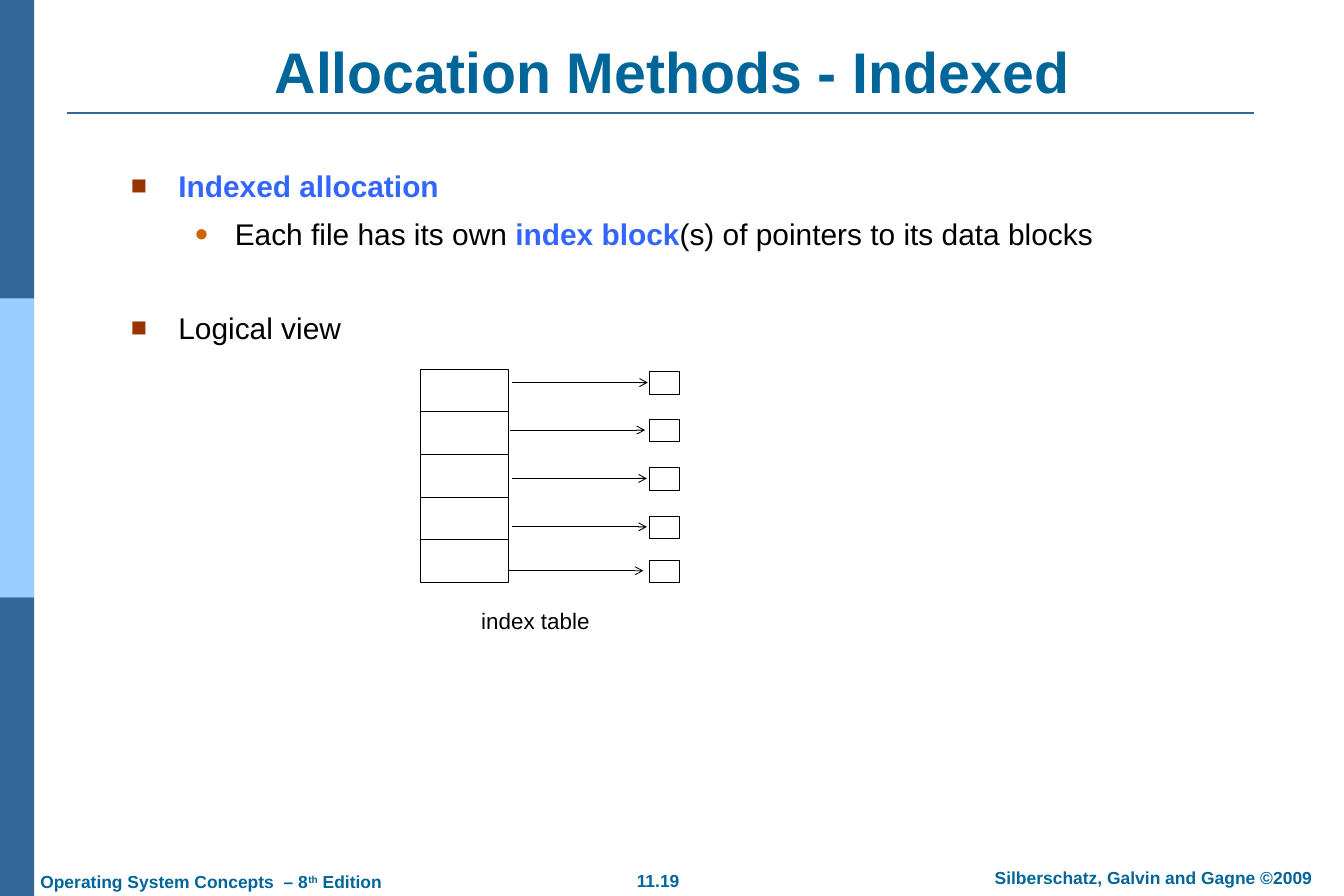
from lxml import etree
from pptx import Presentation
from pptx.dml.color import RGBColor
from pptx.enum.shapes import MSO_CONNECTOR, MSO_SHAPE
from pptx.enum.text import MSO_ANCHOR, MSO_AUTO_SIZE, PP_ALIGN
from pptx.oxml.ns import qn
from pptx.util import Inches, Pt

RECT, STRAIGHT = MSO_SHAPE.RECTANGLE, MSO_CONNECTOR.STRAIGHT
LEFT, CENTER = PP_ALIGN.LEFT, PP_ALIGN.CENTER
TOP, MIDDLE, BOTTOM = MSO_ANCHOR.TOP, MSO_ANCHOR.MIDDLE, MSO_ANCHOR.BOTTOM
FIXED = MSO_AUTO_SIZE.NONE

COLORS = {
    "bar": "336699", "bar_light": "99CCFF", "heading": "006699",
    "term": "3366FF", "text": "000000", "paper": "FFFFFF",
    "square": "993300", "dot": "CC6600",
}
HEADING = {"size": Pt(46), "bold": True}
FOOTER = {"size": Pt(14), "bold": True}
BODY = {"size": Pt(24), "bold": False}
TERM = {"size": Pt(24), "bold": True}
CAPTION = {"size": Pt(18), "bold": False}

# Bullet and indent of each list level
LEVELS = [
    {"char": "■", "color": "square", "size": 90, "margin": 0.53, "hang": 0.53},
    {"char": "●", "color": "dot", "size": 80, "margin": 1.16, "hang": 0.45},
]
# Level, space before in points, runs of text, format and colour
OUTLINE = [
    (0, 0, [("Indexed allocation", TERM, "term")]),
    (1, 9.6, [("Each file has its own ", BODY, "text"),
              ("index block", TERM, "term"),
              ("(s) of pointers to its data blocks", BODY, "text")]),
    (0, 47, [("Logical view", BODY, "text")]),
]


def rgb(name):
    return RGBColor.from_string(COLORS[name])


def add_rect(slide, box, fill, outline=None):
    rect = slide.shapes.add_shape(RECT, *map(Inches, box))
    rect.shadow.inherit = False
    rect.fill.solid()
    rect.fill.fore_color.rgb = rgb(fill)
    if outline:
        rect.line.color.rgb = rgb(outline)
        rect.line.width = Pt(0.75)
    else:
        rect.line.fill.background()


def add_line(slide, start, end, color, width, arrow=False):
    line = slide.shapes.add_connector(STRAIGHT, *map(Inches, start + end))
    line.line.color.rgb = rgb(color)
    line.line.width = Pt(width)
    if arrow:
        etree.SubElement(line.line._get_or_add_ln(), qn("a:tailEnd"), type="arrow")
    etree.SubElement(line._element.spPr, qn("a:effectLst"))


def set_frame(shape, anchor, wrap):
    frame = shape.text_frame
    values = {
        "auto_size": FIXED, "word_wrap": wrap, "vertical_anchor": anchor,
        "margin_left": Inches(0.14), "margin_right": Inches(0.14),
        "margin_top": Inches(0.07), "margin_bottom": Inches(0.07),
    }
    for key, value in values.items():
        setattr(frame, key, value)
    return frame


def place(shape, box):
    shape.left, shape.top, shape.width, shape.height = map(Inches, box)


def add_run(paragraph, text, style, color):
    run = paragraph.add_run()
    run.text = text
    run.font.name = "Arial"
    for key, value in style.items():
        setattr(run.font, key, value)
    run.font.color.rgb = rgb(color)
    return run


def add_label(slide, box, texts, style, color, align, anchor=TOP, wrap=False):
    label = slide.shapes.add_textbox(*map(Inches, box))
    paragraph = set_frame(label, anchor, wrap).paragraphs[0]
    paragraph.alignment = align
    return [add_run(paragraph, text, style, color) for text in texts]


def set_bullet(paragraph, level):
    bullet = LEVELS[level]
    props = paragraph._p.get_or_add_pPr()
    props.set("marL", str(Inches(bullet["margin"])))
    props.set("indent", str(-Inches(bullet["hang"])))
    color = etree.SubElement(props, qn("a:buClr"))
    etree.SubElement(color, qn("a:srgbClr"), val=COLORS[bullet["color"]])
    etree.SubElement(props, qn("a:buSzPct"), val=str(bullet["size"] * 1000))
    etree.SubElement(props, qn("a:buFont"), typeface="Arial")
    etree.SubElement(props, qn("a:buChar"), char=bullet["char"])


def build_side_bar(slide, box):
    left, top, width, height = box
    part = height / 3
    for i, fill in enumerate(["bar", "bar_light", "bar"]):
        add_rect(slide, (left, top + i * part, width, part), fill)


def build_title(slide, box):
    left, top, width, height = box
    title = slide.shapes.title
    place(title, box)
    paragraph = set_frame(title, BOTTOM, True).paragraphs[0]
    paragraph.alignment = CENTER
    add_run(paragraph, "Allocation Methods - Indexed", HEADING, "heading")
    rule_y = top + height + 0.02
    add_line(slide, (left, rule_y), (left + width - 0.25, rule_y), "bar", 1.5)


def build_outline(slide, box):
    body = slide.placeholders[1]
    place(body, box)
    frame = set_frame(body, TOP, True)
    for i, (level, space, runs) in enumerate(OUTLINE):
        paragraph = frame.add_paragraph() if i else frame.paragraphs[0]
        paragraph.level = level
        paragraph.alignment = LEFT
        paragraph.space_before = Pt(space)
        set_bullet(paragraph, level)
        for text, style, color in runs:
            add_run(paragraph, text, style, color)


def build_index_diagram(slide, box):
    left, top, width, height = box
    # Index table
    cell_height = height / 5
    for i in range(5):
        cell = (left, top + i * cell_height, 0.99, cell_height)
        add_rect(slide, cell, "paper", "text")
    # Data blocks, each with its pointer: block offset, pointer offset
    pointers = [(0.03, 1.03), (0.56, 1), (1.1, 1.02), (1.64, 1.02), (2.13, 0.98)]
    for block_dy, pointer_dx in pointers:
        block_top = top + block_dy
        add_rect(slide, (left + width - 0.33, block_top, 0.33, 0.25), "paper", "text")
        start, y = left + pointer_dx, block_top + 0.12
        add_line(slide, (start, y), (start + 1.51, y), "text", 0.75, arrow=True)
    # Caption
    caption_box = (left + 0.53, top + height + 0.2, 1.51, 0.45)
    add_label(slide, caption_box, ["index table"], CAPTION, "text", CENTER, MIDDLE)


def build_footer(slide, box):
    left, top, width, height = box
    edition = add_label(slide, (left, top + 0.04, 4.13, height),
                        ["Operating System Concepts  – 8", "th", " Edition"],
                        FOOTER, "heading", LEFT)
    edition[1]._r.get_or_add_rPr().set("baseline", "30000")
    add_label(slide, (left + 6.64, top + 0.03, 0.79, height), ["11.19"],
              FOOTER, "heading", CENTER)
    add_label(slide, (left + width - 4.45, top, 4.45, height),
              ["Silberschatz, Galvin and Gagne ©2009"],
              FOOTER, "heading", CENTER, wrap=True)


def main():
    deck = Presentation()
    deck.slide_width, deck.slide_height = Inches(15), Inches(10)
    slide = deck.slides.add_slide(deck.slide_layouts[1])
    build_side_bar(slide, (0, 0, 0.38, 10))
    build_title(slide, (0.75, 0.4, 13.5, 0.84))
    build_outline(slide, (1.32, 1.8, 13.5, 6.61))
    build_index_diagram(slide, (4.69, 4.12, 2.89, 2.38))
    build_footer(slide, (0.31, 9.61, 14.79, 0.38))
    deck.save("out.pptx")


if __name__ == "__main__":
    main()
